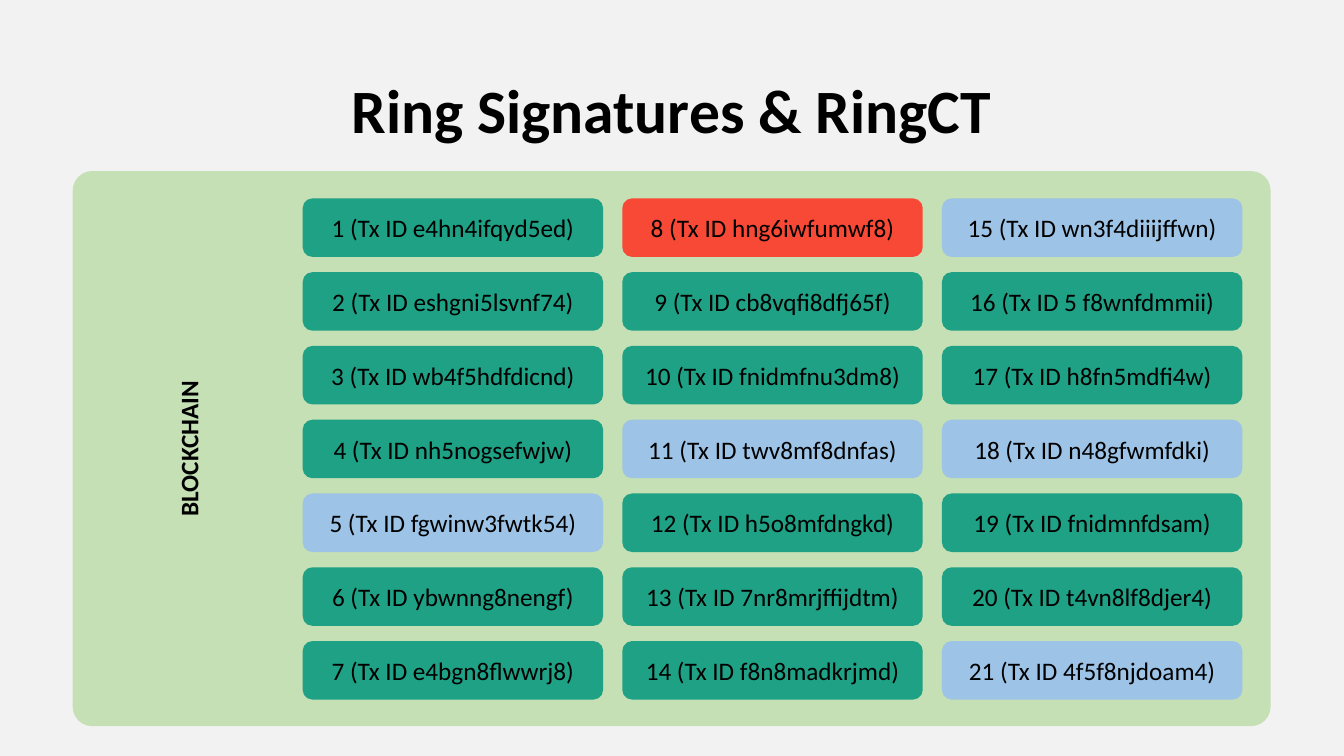
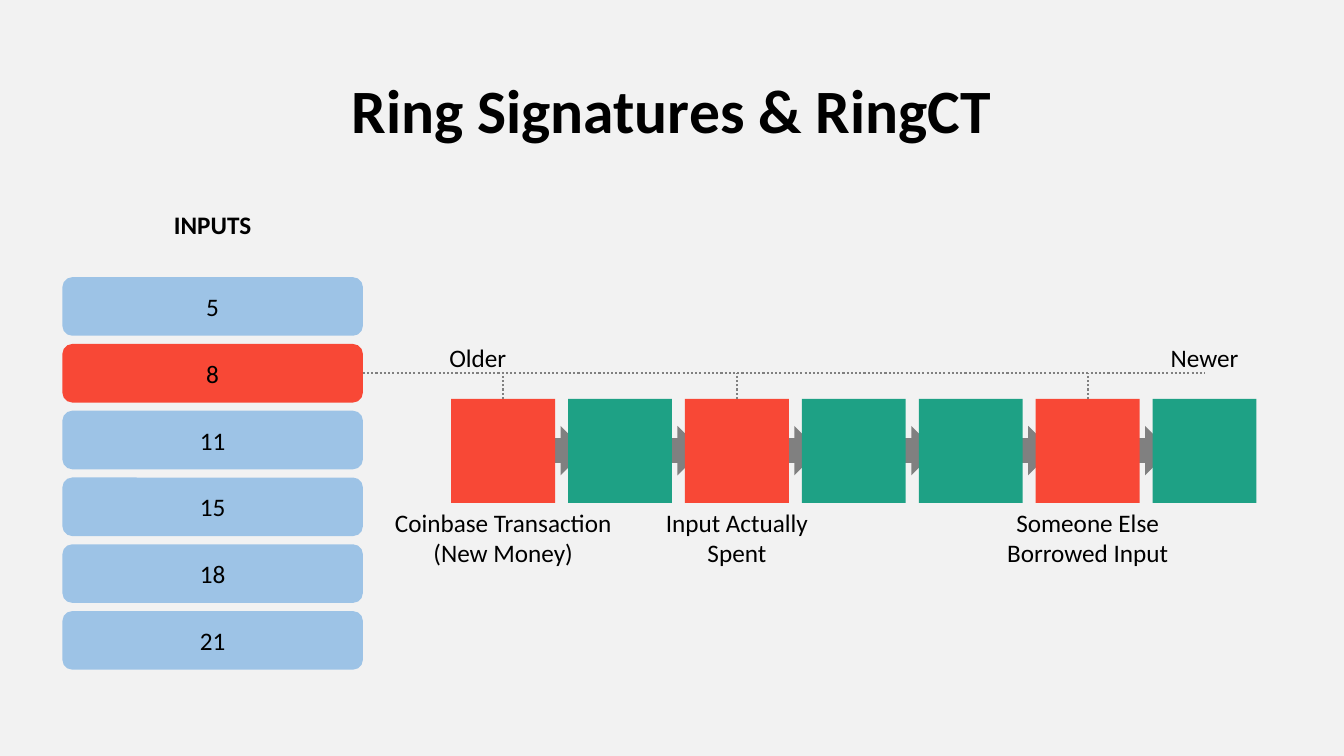
from lxml.etree import SubElement
from pptx import Presentation
from pptx.dml.color import RGBColor
from pptx.enum.dml import MSO_LINE
from pptx.enum.shapes import MSO_CONNECTOR, MSO_SHAPE
from pptx.enum.text import MSO_ANCHOR, PP_ALIGN
from pptx.oxml.ns import qn
from pptx.util import Pt

BACKGROUND = RGBColor(0xF2, 0xF2, 0xF2)
BLACK = RGBColor(0x00, 0x00, 0x00)
PANEL = RGBColor(0xC5, 0xE0, 0xB4)
GREEN = RGBColor(0x1E, 0xA1, 0x85)
RED = RGBColor(0xF8, 0x48, 0x36)
BLUE = RGBColor(0x9D, 0xC3, 0xE6)
GRAY = RGBColor(0x80, 0x80, 0x80)
FONT = "Calibri"
CELL_WIDTH, CELL_HEIGHT = 214.6, 41.8
SPENT = 8
DECOYS = (5, 11, 15, 18, 21)


def add_text(box, lines, size=18, bold=False, anchor=MSO_ANCHOR.MIDDLE, wrap=True):
    frame = box.text_frame
    frame.word_wrap = wrap
    frame.vertical_anchor = anchor
    for index, line in enumerate(lines):
        para = frame.paragraphs[0] if index == 0 else frame.add_paragraph()
        para.alignment = PP_ALIGN.CENTER
        span = para.add_run()
        span.text = line
        span.font.name = FONT
        span.font.size = Pt(size)
        span.font.bold = bold
        span.font.color.rgb = BLACK
    return frame


def add_block(page, preset, left, top, width, height, color):
    block = page.shapes.add_shape(preset, Pt(left), Pt(top), Pt(width), Pt(height))
    block.shadow.inherit = False
    block.fill.solid()
    block.fill.fore_color.rgb = color
    block.line.fill.background()
    return block


deck = Presentation()
deck.slide_width, deck.slide_height = Pt(960), Pt(540)
pages = []
for _ in range(2):
    page = deck.slides.add_slide(deck.slide_layouts[6])
    page.background.fill.solid()
    page.background.fill.fore_color.rgb = BACKGROUND
    title = page.shapes.add_textbox(Pt(66), Pt(28.75), Pt(828), Pt(104.4))
    frame = add_text(title, ["Ring Signatures & RingCT"], size=44, bold=True)
    frame.paragraphs[0].line_spacing = 0.9
    pages.append(page)
blockchain_page, inputs_page = pages

panel = add_block(blockchain_page, MSO_SHAPE.ROUNDED_RECTANGLE, 52, 122.2, 855.6, 396.5, PANEL)
panel.adjustments[0] = 0.035
heading = blockchain_page.shapes.add_textbox(Pt(78.5), Pt(306), Pt(112.3), Pt(29))
heading.rotation = 270
add_text(heading, ["BLOCKCHAIN"], bold=True, anchor=MSO_ANCHOR.TOP, wrap=False)

transactions = [
    "e4hn4ifqyd5ed", "eshgni5lsvnf74", "wb4f5hdfdicnd", "nh5nogsefwjw",
    "fgwinw3fwtk54", "ybwnng8nengf", "e4bgn8flwwrj8",
    "hng6iwfumwf8", "cb8vqfi8dfj65f", "fnidmfnu3dm8", "twv8mf8dnfas",
    "h5o8mfdngkd", "7nr8mrjffijdtm", "f8n8madkrjmd",
    "wn3f4diiijffwn", "5 f8wnfdmmii", "h8fn5mdfi4w", "n48gfwmfdki",
    "fnidmnfdsam", "t4vn8lf8djer4", "4f5f8njdoam4",
]
for index, transaction in enumerate(transactions):
    number = index + 1
    column, row = divmod(index, 7)
    color = RED if number == SPENT else BLUE if number in DECOYS else GREEN
    cell = add_block(blockchain_page, MSO_SHAPE.ROUNDED_RECTANGLE,
                     216.2 + column * 228.3, 141.7 + row * 52.7,
                     CELL_WIDTH, CELL_HEIGHT, color)
    add_text(cell, [f"{number} (Tx ID {transaction})"])

for row, number in enumerate(sorted(DECOYS + (SPENT,))):
    color = RED if number == SPENT else BLUE
    cell = add_block(inputs_page, MSO_SHAPE.ROUNDED_RECTANGLE,
                     44.6, 198 + row * 47.7, CELL_WIDTH, CELL_HEIGHT, color)
    add_text(cell, [str(number)])

square, step, chain_left, chain_top, timeline = 74.2, 83.5, 322.3, 285, 266.4
square_colors = [RED, GREEN, RED, GREEN, GREEN, RED, GREEN]
lefts = [chain_left + index * step for index in range(len(square_colors))]
centers = [left + square / 2 for left in lefts]
for left in lefts[:-1]:
    add_block(inputs_page, MSO_SHAPE.RIGHT_ARROW, left, 304.2, 95.8, 35.3, GRAY)
for left, color in zip(lefts, square_colors):
    add_block(inputs_page, MSO_SHAPE.RECTANGLE, left, chain_top, square, square, color)

segments = [(44.6 + CELL_WIDTH, timeline, centers[-1], timeline)]
for center, color in zip(centers, square_colors):
    if color == RED:
        segments.append((center, chain_top, center, timeline))
for segment in segments:
    line = inputs_page.shapes.add_connector(MSO_CONNECTOR.STRAIGHT, *map(Pt, segment))
    line.line.color.rgb = GRAY
    line.line.width = Pt(1.5)
    line.line.dash_style = MSO_LINE.ROUND_DOT
    SubElement(line._element.spPr, qn("a:effectLst"))

labels = [
    (151.9, 146.2, 70.6, ["INPUTS"], True),
    (341.3, 241.2, 56.2, ["Older"], False),
    (centers[-1], 241.2, 64, ["Newer"], False),
    (centers[0], 359, 171.4, ["Coinbase Transaction", "(New Money)"], False),
    (centers[2], 359, 117.4, ["Input Actually", "Spent"], False),
    (centers[5], 359, 131, ["Someone Else", "Borrowed Input"], False),
]
for center, top, width, lines, bold in labels:
    label = inputs_page.shapes.add_textbox(
        Pt(center - width / 2), Pt(top), Pt(width), Pt(7.2 + 21.8 * len(lines)))
    add_text(label, lines, bold=bold, anchor=MSO_ANCHOR.TOP, wrap=False)

deck.save("out.pptx")
